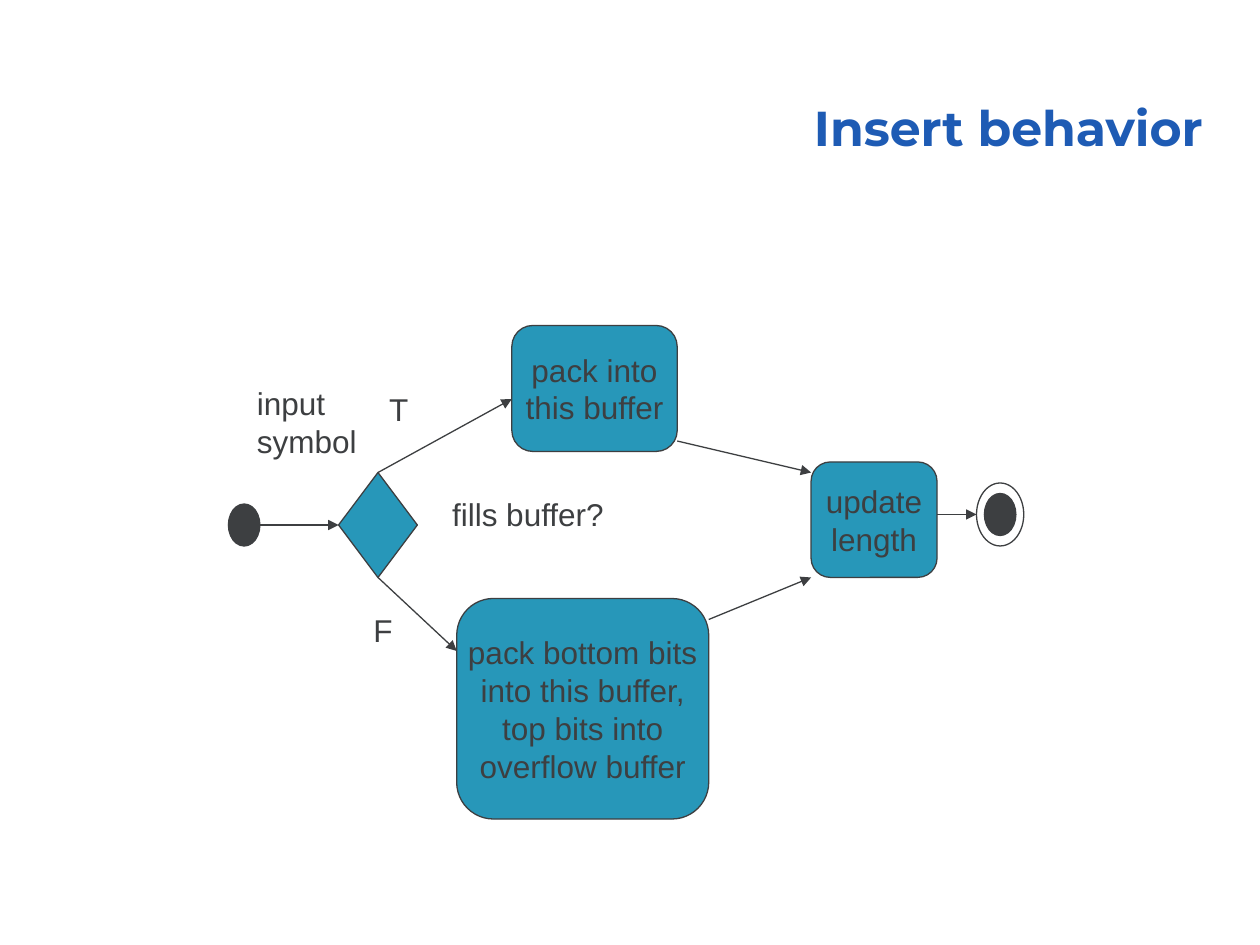
"""Build the activity diagram slide for insert behavior."""
import pptx
import pptx.util
import pptx.dml.color
import pptx.enum.shapes
import pptx.enum.text
import pptx.oxml.ns
import lxml.etree

Pt = pptx.util.Pt
Kind = pptx.enum.shapes.MSO_SHAPE
Align = pptx.enum.text.PP_ALIGN
Anchor = pptx.enum.text.MSO_ANCHOR
Fit = pptx.enum.text.MSO_AUTO_SIZE
qn = pptx.oxml.ns.qn

INK, TEAL, BLUE = "3D3F41", "2797B9", "1E5BB4"

TITLE = ("Insert behavior", (211.5, 37.75, 483, 55.5))
STEPS = [
    (["pack into", "this buffer"], (292.5, 186, 94.5, 72)),
    (["pack bottom bits", "into this buffer,", "top bits into", "overflow buffer"],
     (261, 342, 144, 126)),
    (["update", "length"], (463.5, 264, 72, 66)),
]
NODES = [
    (Kind.OVAL, INK, (130.5, 288, 18, 24)),
    (Kind.OVAL, INK, (562.5, 282, 18, 24)),
    (Kind.OVAL, None, (558, 276, 27, 36)),
    (Kind.DIAMOND, TEAL, (193.5, 270, 45, 60)),
]
ARROWS = [
    (148.5, 300, 193.5, 300),
    (216, 270, 292.5, 228),
    (216, 330, 261, 372),
    (405, 354, 463.5, 330),
    (387, 252, 463.5, 270),
    (535.5, 294, 558, 294),
]
LABELS = [
    (["input", "symbol"], (139.75, 216, 73, 50.5)),
    (["fills buffer?"], (251.25, 279.5, 102, 29)),
    (["T"], (215.25, 219.5, 25.5, 29)),
    (["F"], (206.25, 345.75, 25.5, 29)),
]


def color(code):
    return pptx.dml.color.RGBColor.from_string(code)


def write(shape, lines, size=18, font="Arial", ink=INK, bold=False,
          align=Align.LEFT, anchor=Anchor.TOP, wrap=False, space=1.0):
    frame = shape.text_frame
    frame.word_wrap = wrap
    frame.auto_size = Fit.NONE
    frame.vertical_anchor = anchor
    for i, line in enumerate(lines):
        para = frame.add_paragraph() if i else frame.paragraphs[0]
        para.alignment = align
        para.line_spacing = space
        run = para.add_run()
        run.text = line
        run.font.size = Pt(size)
        run.font.name = font
        run.font.bold = bold
        run.font.color.rgb = color(ink)


def stroke(item):
    item.line.color.rgb = color(INK)
    item.line.width = Pt(0.75)


def draw(slide, kind, fill, box):
    shape = slide.shapes.add_shape(kind, *map(Pt, box))
    shape.shadow.inherit = False
    if fill:
        shape.fill.solid()
        shape.fill.fore_color.rgb = color(fill)
    else:
        shape.fill.background()
    stroke(shape)
    return shape


def arrow(slide, ends):
    link = slide.shapes.add_connector(
        pptx.enum.shapes.MSO_CONNECTOR.STRAIGHT, *map(Pt, ends))
    stroke(link)
    line = link._element.spPr.find(qn("a:ln"))
    lxml.etree.SubElement(line, qn("a:tailEnd")).set("type", "triangle")
    lxml.etree.SubElement(link._element.spPr, qn("a:effectLst"))


def main():
    deck = pptx.Presentation()
    deck.slide_width, deck.slide_height = Pt(720), Pt(540)
    slide = deck.slides.add_slide(deck.slide_layouts[6])

    text, box = TITLE
    write(slide.shapes.add_textbox(*map(Pt, box)), [text], size=28,
          font="Montserrat", ink=BLUE, bold=True, align=Align.RIGHT,
          anchor=Anchor.BOTTOM, wrap=True, space=0.9)
    for node in NODES:
        draw(slide, *node)
    for lines, box in STEPS:
        step = draw(slide, Kind.ROUNDED_RECTANGLE, TEAL, box)
        write(step, lines, align=Align.CENTER, anchor=Anchor.MIDDLE)
    for ends in ARROWS:
        arrow(slide, ends)
    for lines, box in LABELS:
        write(slide.shapes.add_textbox(*map(Pt, box)), lines)
    deck.save("out.pptx")


if __name__ == "__main__":
    main()
